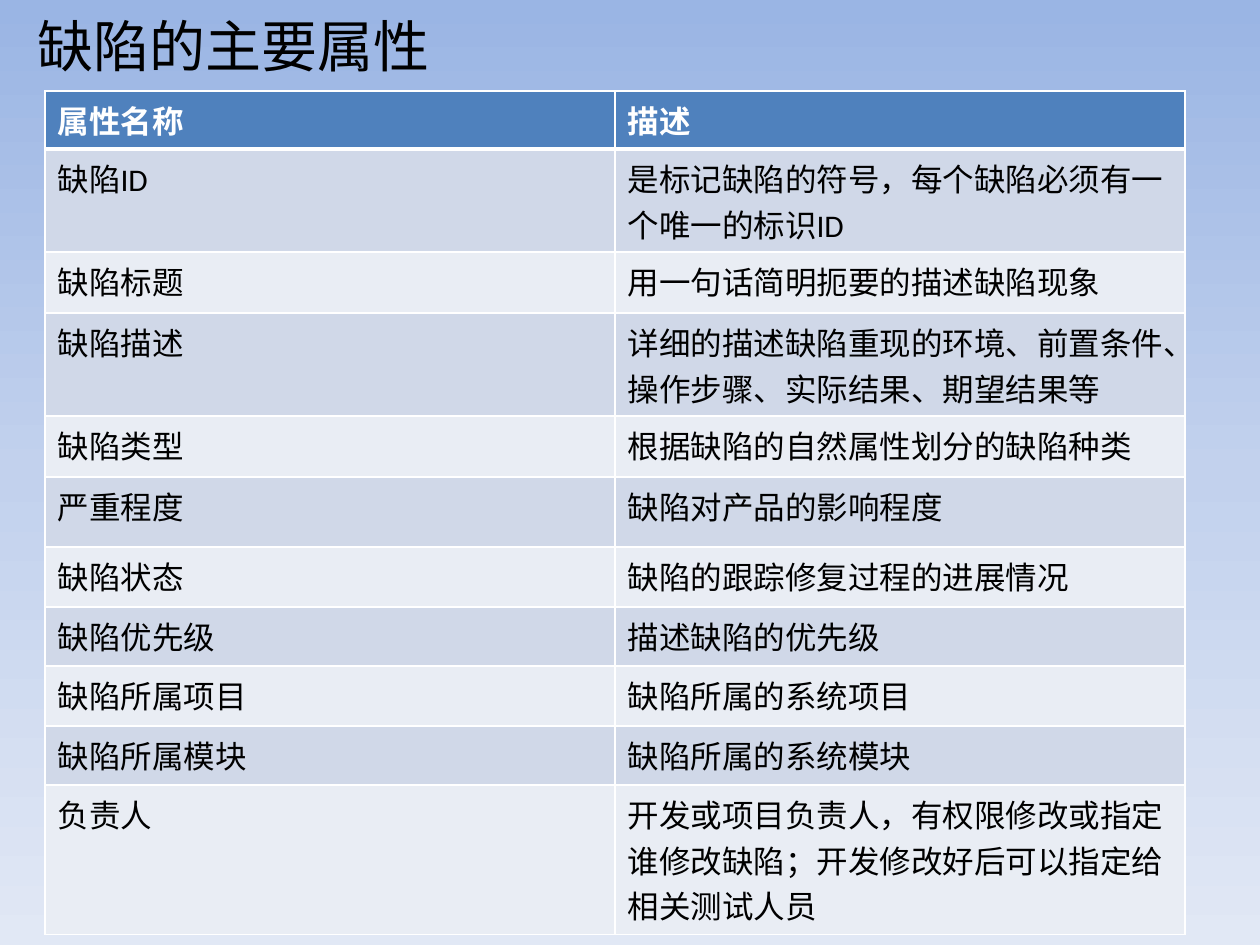
from copy import deepcopy
from dataclasses import dataclass

from lxml import etree
from pptx import Presentation
from pptx.dml.color import RGBColor
from pptx.enum.text import MSO_ANCHOR, MSO_AUTO_SIZE, PP_ALIGN
from pptx.oxml.ns import qn
from pptx.util import Pt

LEFT = PP_ALIGN.LEFT
TOP = MSO_ANCHOR.TOP
GROW = MSO_AUTO_SIZE.SHAPE_TO_FIT_TEXT
TITLE_ONLY = 5
PX = 914400 // 126


@dataclass(frozen=True)
class Theme:
    font: str = "Calibri"
    title: int = 32
    body: int = 18
    ink: str = "000000"
    white: str = "FFFFFF"
    head: str = "4F81BD"
    bands: tuple = ("D0D8E8", "E9EDF4")
    sky: tuple = ((0, "9AB5E4"), (0.5, "C2D1ED"), (1, "E1E8F5"))
    thin: int = 1
    thick: int = 3


THEME = Theme()

# Attribute name, description, row height in px
HEAD = ("属性名称", "描述", 58)
ROWS = [
    ("缺陷ID", "是标记缺陷的符号，每个缺陷必须有一个唯一的标识ID", 103),
    ("缺陷标题", "用一句话简明扼要的描述缺陷现象", 61),
    ("缺陷描述", "详细的描述缺陷重现的环境、前置条件、操作步骤、实际结果、期望结果等", 103),
    ("缺陷类型", "根据缺陷的自然属性划分的缺陷种类", 61),
    ("严重程度", "缺陷对产品的影响程度", 70),
    ("缺陷状态", "缺陷的跟踪修复过程的进展情况", 60),
    ("缺陷优先级", "描述缺陷的优先级", 59),
    ("缺陷所属项目", "缺陷所属的系统项目", 60),
    ("缺陷所属模块", "缺陷所属的系统模块", 59),
    ("负责人", "开发或项目负责人，有权限修改或指定谁修改缺陷；开发修改好后可以指定给相关测试人员", 150),
]


def px(*sizes):
    return [size * PX for size in sizes]


def write(frame, text, size=THEME.body, color=THEME.ink, bold=False):
    para = frame.paragraphs[0]
    para.alignment = LEFT
    run = para.add_run()
    run.text = text
    font = run.font
    font.name, font.size, font.bold = THEME.font, Pt(size), bold
    font.color.rgb = RGBColor.from_string(color)


def paint_sky(slide):
    fill = slide.background.fill
    fill.gradient()
    fill.gradient_angle = 270
    stops = slide.background._cSld.find(".//" + qn("a:gsLst"))
    stops.insert(1, deepcopy(stops[0]))
    for stop, (place, color) in zip(fill.gradient_stops, THEME.sky):
        stop.position = place
        stop.color.rgb = RGBColor.from_string(color)


def add_title(slide, text):
    title = slide.shapes.title
    title.left, title.top, title.width, title.height = px(25, 5, 441, 81)
    frame = title.text_frame
    frame.word_wrap = False
    frame.auto_size = GROW
    frame.vertical_anchor = TOP
    write(frame, text, size=THEME.title)


def add_edges(cell, top, base):
    props = cell._tc.get_or_add_tcPr()
    widths = {"L": THEME.thin, "R": THEME.thin, "T": top, "B": base}
    for side, width in widths.items():
        line = etree.SubElement(props, qn("a:ln" + side), w=str(Pt(width)))
        fill = etree.SubElement(line, qn("a:solidFill"))
        etree.SubElement(fill, qn("a:srgbClr"), val=THEME.white)


def fill_cell(cell, text, row):
    is_head = row == 0
    add_edges(cell, top=THEME.thick if row == 1 else THEME.thin,
              base=THEME.thick if is_head else THEME.thin)
    cell.fill.solid()
    color = THEME.head if is_head else THEME.bands[(row - 1) % 2]
    cell.fill.fore_color.rgb = RGBColor.from_string(color)
    write(cell.text_frame, text, bold=is_head,
          color=THEME.white if is_head else THEME.ink)


def add_grid(slide, rows):
    high = sum(row[-1] for row in rows)
    table = slide.shapes.add_table(
        len(rows), 2, *px(45, 91, 1140, high)).table
    for row, (*texts, tall) in enumerate(rows):
        table.rows[row].height = tall * PX
        for col, text in enumerate(texts):
            fill_cell(table.cell(row, col), text, row)


def main():
    deck = Presentation()
    deck.slide_width, deck.slide_height = px(1260, 945)
    slide = deck.slides.add_slide(deck.slide_layouts[TITLE_ONLY])
    paint_sky(slide)
    add_grid(slide, [HEAD, *ROWS])
    add_title(slide, "缺陷的主要属性")
    deck.save("out.pptx")


if __name__ == "__main__":
    main()
